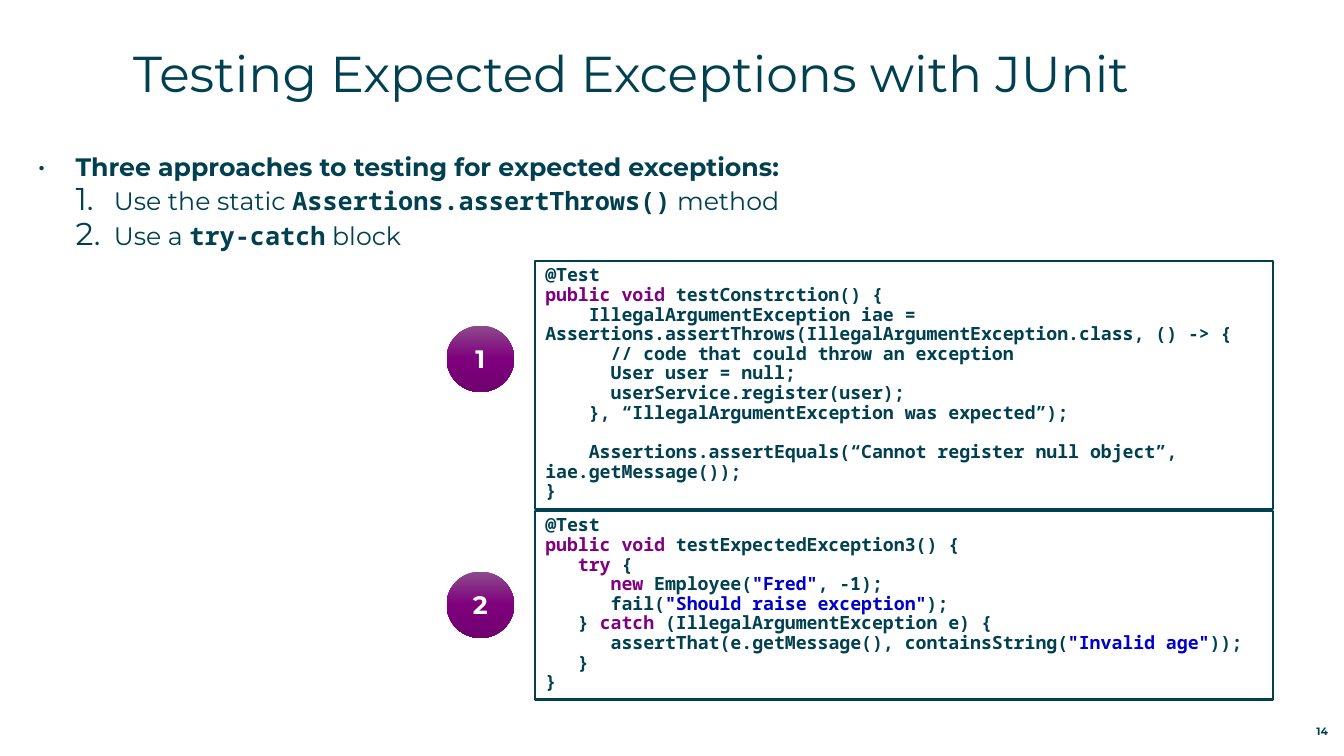
import pptx
import pptx.util
import pptx.dml.color
import pptx.enum.shapes
import pptx.enum.text
import pptx.oxml
import pptx.oxml.ns

Inches = pptx.util.Inches
Pt = pptx.util.Pt
Align = pptx.enum.text.PP_ALIGN
Anchor = pptx.enum.text.MSO_ANCHOR
Shape = pptx.enum.shapes.MSO_SHAPE

THROWS = """@Test
~public void ~testConstrction() {
    IllegalArgumentException iae = Assertions.assertThrows(IllegalArgumentException.class, () -> {
      // code that could throw an exception
      User user = null;
      userService.register(user);
    }, “IllegalArgumentException was expected”);

    Assertions.assertEquals(“Cannot register null object”, iae.getMessage());
}"""

CATCH = """@Test
~public void~ testExpectedException3() {
   ~try~ {
      ~new~ Employee(~"Fred"~, -1);
      fail(~"Should raise exception"~);
   } ~catch~ (IllegalArgumentException e) {
      assertThat(e.getMessage(), containsString(~"Invalid age"~));
   }
}"""


def color(code):
    return pptx.dml.color.RGBColor.from_string(code)


class Deck:
    sans = "Montserrat"
    mono = "Noto Sans Mono"
    ink = "004050"
    key = "800080"
    quote = "0000CC"
    white = "FFFFFF"
    shades = ((0, "8D4B8C"), (50, "7F007D"), (100, "71006F"))

    def __init__(self):
        self.deck = pptx.Presentation()
        self.deck.slide_width = Inches(13.33)
        self.deck.slide_height = Inches(7.5)
        self.slide = self.deck.slides.add_slide(self.deck.slide_layouts[6])

    def style(self, font, size, face, tint, bold=False):
        font.size = Pt(size)
        font.name = face
        font.bold = bold
        font.color.rgb = color(tint)

    def frame(self, box, anchor, inset=None):
        frame = box.text_frame
        frame.word_wrap = True
        frame.vertical_anchor = anchor
        if inset is not None:
            frame.margin_left = frame.margin_right = Inches(inset)
            frame.margin_top = frame.margin_bottom = Inches(inset)
        return frame

    def text(self, place, words, size, bold=False, align=Align.LEFT, anchor=Anchor.TOP):
        box = self.slide.shapes.add_textbox(*map(Inches, place))
        frame = self.frame(box, anchor, 0)
        frame.text = words
        for para in frame.paragraphs:
            para.alignment = align
            for run in para.runs:
                self.style(run.font, size, self.sans, self.ink, bold)
        return frame

    def split(self, para):
        parts = para.text.split("~")
        para.text = ""
        for spot, part in enumerate(parts):
            if part:
                run = para.add_run()
                run.text = part
                yield run, spot % 2 == 1

    def bullet(self, para, mark, scale, left):
        props = para._p.get_or_add_pPr()
        props.set("marL", str(Inches(left)))
        props.set("indent", str(Inches(-0.38)))
        space = pptx.oxml.ns.nsdecls("a")
        for tag in (f'buSzPct {space} val="{scale * 1000}"',
                    f'buFont {space} typeface="{self.sans}"',
                    f"{mark[0]} {space} {mark[1]}"):
            props.append(pptx.oxml.parse_xml(f"<a:{tag}/>"))

    def outline(self, place, lines):
        frame = self.text(place, "\n".join(lines), 18)
        for row, para in enumerate(frame.paragraphs):
            para.space_after = Pt(3)
            if row:
                para.level = 1
                self.bullet(para, ("buAutoNum", 'type="arabicPeriod"'), 125, 0.76)
            else:
                self.bullet(para, ("buChar", 'char="•"'), 115, 0.38)
            for run, code in self.split(para):
                face = self.mono if code else self.sans
                self.style(run.font, 18, face, self.ink, code or row == 0)

    def code(self, place, words):
        box = self.slide.shapes.add_shape(Shape.RECTANGLE, *map(Inches, place))
        box.shadow.inherit = False
        box.fill.solid()
        box.fill.fore_color.rgb = color(self.white)
        box.line.color.rgb = color(self.ink)
        box.line.width = Pt(1.5)
        frame = self.frame(box, Anchor.TOP)
        frame.text = words
        for para in frame.paragraphs:
            para.alignment = Align.LEFT
            para.line_spacing = Pt(14)
            self.style(para.font, 13, self.mono, self.ink, True)
            for run, mark in self.split(para):
                tint = self.ink
                if mark:
                    tint = self.quote if run.text.startswith('"') else self.key
                self.style(run.font, 13, self.mono, tint, True)

    def badge(self, place, label):
        ball = self.slide.shapes.add_shape(Shape.OVAL, *map(Inches, place))
        ball.shadow.inherit = False
        ball.line.fill.background()
        stops = "".join(f'<a:gs pos="{spot * 1000}"><a:srgbClr val="{tint}"/></a:gs>'
                        for spot, tint in self.shades)
        space = pptx.oxml.ns.nsdecls("a")
        fade = pptx.oxml.parse_xml(
            f'<a:gradFill {space} rotWithShape="1"><a:gsLst>{stops}</a:gsLst>'
            '<a:lin ang="5400000" scaled="0"/></a:gradFill>')
        ball._element.spPr.insert(2, fade)
        frame = self.frame(ball, Anchor.MIDDLE)
        frame.text = label
        para = frame.paragraphs[0]
        para.alignment = Align.CENTER
        self.style(para.runs[0].font, 18, self.sans, self.white, True)


def main():
    deck = Deck()
    deck.text((1.32, 0.42, 11.65, 0.88), "Testing Expected Exceptions with JUnit", 36)
    deck.outline((0.37, 1.5, 10.73, 1.35), (
        "Three approaches to testing for expected exceptions:",
        "Use the static ~Assertions.assertThrows()~ method",
        "Use a ~try-catch~ block"))
    deck.code((5.31, 2.59, 7.32, 2.46), THROWS)
    deck.code((5.31, 5.07, 7.32, 1.87), CATCH)
    for label, top in (("1", 3.23), ("2", 5.67)):
        deck.badge((4.43, top, 0.67, 0.66), label)
    deck.text((12.31, 7.12, 0.86, 0.2), "14", 7.6, True, Align.RIGHT, Anchor.BOTTOM)
    deck.deck.save("out.pptx")


if __name__ == "__main__":
    main()
